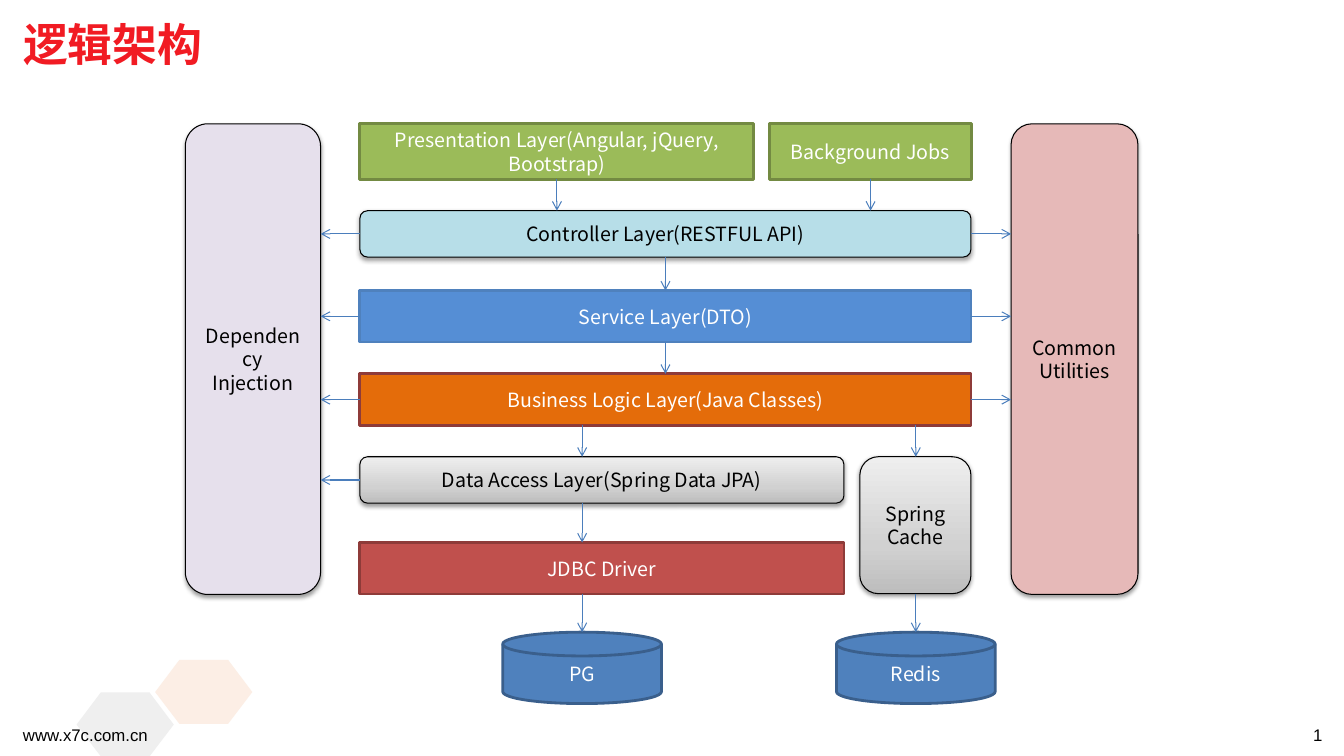
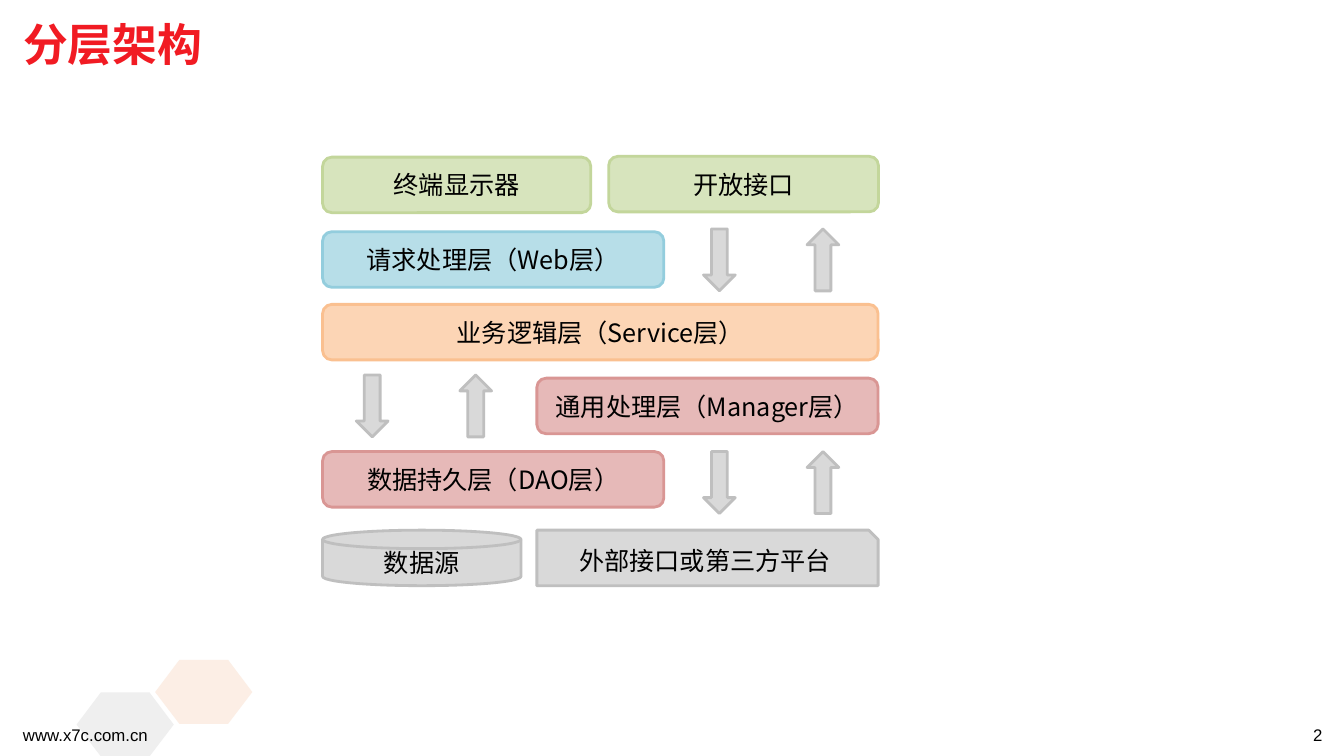
import copy

import lxml.etree
import pptx
import pptx.dml.color
import pptx.enum.shapes
import pptx.enum.text
import pptx.oxml.ns
import pptx.util

Cm = pptx.util.Cm
Pt = pptx.util.Pt
qn = pptx.oxml.ns.qn
SHAPE = pptx.enum.shapes.MSO_SHAPE
ALIGN = pptx.enum.text.PP_ALIGN
ANCHOR = pptx.enum.text.MSO_ANCHOR
AUTO = pptx.enum.text.MSO_AUTO_SIZE


def rgb(value):
    return pptx.dml.color.RGBColor.from_string(value)


def set_all(obj, values):
    for name, value in values.items():
        setattr(obj, name, value)


class Deck:
    """Hold the shared style and the current slide."""

    sans = "Noto Sans CJK SC"
    title_red = "F11B23"
    link_blue = "4B7EBC"
    grey_stops = [(0, "BDBDBD"), (0.35, "D1D1D1"), (1, "EEEEEE")]
    hexagons = [(1.93, 17.45, "EFEFEF"), (3.91, 16.63, "FCEEE5")]
    site = "www.x7c.com.cn"

    def __init__(self):
        self.prs = pptx.Presentation()
        set_all(self.prs, {"slide_width": Cm(33.87), "slide_height": Cm(19.05)})

    def new_slide(self, title):
        self.s = self.prs.slides.add_slide(self.prs.slide_layouts[5])
        self.title(title)
        for left, top, color in self.hexagons:
            self.hexagon(left, top, color)
        self.footer(0.33, 8.18, self.site, ALIGN.LEFT)
        r = self.footer(31.6, 1.98, str(len(self.prs.slides)), ALIGN.RIGHT)
        r._r.tag = qn("a:fld")
        r._r.set("id", "{B6F15528-21DE-4FAA-801E-634DDDAF4B2B}")
        r._r.set("type", "slidenum")

    def label(self, tf, text, size, color, align, font=sans, bold=False):
        tf.text = text
        for p in tf.paragraphs:
            p.alignment = align
            for r in p.runs:
                set_all(r.font, {"size": Pt(size), "bold": bold, "name": font})
                r.font.color.rgb = rgb(color)
                ea = lxml.etree.SubElement(r._r.get_or_add_rPr(), qn("a:ea"))
                ea.set("typeface", font)
        return r

    def title(self, text):
        sp = self.s.shapes.title
        set_all(sp, {"left": Cm(0.33), "top": Cm(0.3), "width": Cm(5.08), "height": Cm(1.63)})
        set_all(sp.text_frame, {"word_wrap": False, "auto_size": AUTO.NONE,
                                "vertical_anchor": ANCHOR.TOP})
        self.label(sp.text_frame, text, 32, self.title_red, ALIGN.LEFT, bold=True)

    def footer(self, left, width, text, align):
        sp = self.s.shapes.add_textbox(Cm(left), Cm(18.14), Cm(width), Cm(0.76))
        sp.text_frame.word_wrap = True
        return self.label(sp.text_frame, text, 12, "000000", align, font="Arial")

    def hexagon(self, left, top, color):
        corners = [(0, 0.81), (0.61, 0), (1.84, 0), (2.45, 0.81), (1.84, 1.61), (0.61, 1.61)]
        points = [(Cm(left + x), Cm(top + y)) for x, y in corners]
        fb = self.s.shapes.build_freeform(*points[0])
        fb.add_line_segments(points[1:], close=True)
        sp = fb.convert_to_shape()
        sp.shadow.inherit = False
        sp.fill.solid()
        sp.fill.fore_color.rgb = rgb(color)
        sp.line.fill.background()

    def box(self, kind, at, text, fill, line, size=14, color="FFFFFF", weight=2):
        sp = self.s.shapes.add_shape(kind, *[Cm(v) for v in at])
        sp.shadow.inherit = False
        if fill == "grey":
            self.shade(sp)
        else:
            sp.fill.solid()
            sp.fill.fore_color.rgb = rgb(fill)
        sp.line.color.rgb = rgb(line)
        sp.line.width = Pt(weight)
        if text:
            sp.text_frame.word_wrap = True
            self.label(sp.text_frame, text, size, color, ALIGN.CENTER)
        return sp

    def shade(self, sp):
        sp.fill.gradient()
        sp.fill.gradient_angle = 90
        stops = sp._element.spPr.find(".//" + qn("a:gsLst"))
        stops.insert(1, copy.deepcopy(stops[0]))
        for stop, (position, color) in zip(sp.fill.gradient_stops, self.grey_stops):
            stop.position = position
            stop.color.rgb = rgb(color)

    def raised(self, at, text, fill):
        sp = self.box(SHAPE.ROUNDED_RECTANGLE, at, text, fill, "000000",
                      color="000000", weight=0.75)
        effects = sp._element.spPr.find(qn("a:effectLst"))
        shadow = lxml.etree.SubElement(effects, qn("a:outerShdw"), blurRad="40000",
                                       dist="20000", dir="5400000", rotWithShape="0")
        black = lxml.etree.SubElement(shadow, qn("a:srgbClr"), val="000000")
        lxml.etree.SubElement(black, qn("a:alpha"), val="38000")
        return sp

    def arrow(self, x1, y1, x2, y2):
        cn = self.s.shapes.add_connector(pptx.enum.shapes.MSO_CONNECTOR.STRAIGHT, x1, y1, x2, y2)
        cn.line.color.rgb = rgb(self.link_blue)
        cn.line.width = Pt(0.75)
        lxml.etree.SubElement(cn.line._get_or_add_ln(), qn("a:tailEnd"), type="arrow")
        lxml.etree.SubElement(cn._element.spPr, qn("a:effectLst"))

    def drop(self, upper, lower, centre):
        x = centre.left + centre.width // 2
        self.arrow(x, upper.top + upper.height, x, lower.top)

    def reach(self, layer, panel):
        y = layer.top + layer.height // 2
        if panel.left < layer.left:
            self.arrow(layer.left, y, panel.left + panel.width, y)
        else:
            self.arrow(layer.left + layer.width, y, panel.left, y)


def logical_architecture(deck):
    deck.new_slide("逻辑架构")
    left, full, part = 9.07, 15.4, 12.2
    rect, disk = SHAPE.RECTANGLE, SHAPE.FLOWCHART_MAGNETIC_DISK
    pg, redis = [deck.box(disk, (x, 15.93, 4, 1.8), name, "4F81BD", "3A5F8C")
                 for x, name in [(12.67, "PG"), (21.08, "Redis")]]
    jdbc = deck.box(rect, (left, 13.67, part, 1.3), "JDBC Driver", "C0504D", "8E3B39")
    logic = deck.box(rect, (left, 9.42, full, 1.3), "Business Logic Layer(Java Classes)",
                     "E46C0A", "8E3B39")
    data = deck.raised((left, 11.51, part, 1.17), "Data Access Layer(Spring Data JPA)", "grey")
    service = deck.box(rect, (left, 7.32, full, 1.3), "Service Layer(DTO)", "558ED5", "4F81BD")
    control = deck.raised((left, 5.31, full, 1.17), "Controller Layer(RESTFUL API)", "B7DEE8")
    view, jobs = [deck.box(rect, (x, 3.12, w, 1.4), text, "9BBB59", "738A42")
                  for x, w, text in [
                      (left, 9.93, "Presentation Layer(Angular, jQuery, Bootstrap)"),
                      (19.4, 5.08, "Background Jobs")]]
    inject = deck.raised((4.67, 3.12, 3.41, 11.86), "Dependency\nInjection", "E6E0EC")
    common = deck.raised((25.48, 3.12, 3.2, 11.86), "Common Utilities", "E6B9B8")
    cache = deck.raised((21.67, 11.51, 2.8, 3.45), "Spring Cache", "grey")
    for upper, lower, centre in [
            (view, control, view), (jobs, control, jobs), (control, service, control),
            (service, logic, service), (logic, data, pg), (data, jdbc, pg),
            (jdbc, pg, pg), (logic, cache, redis), (cache, redis, redis)]:
        deck.drop(upper, lower, centre)
    for layer in (control, service, logic):
        deck.reach(layer, inject)
        deck.reach(layer, common)
    deck.reach(data, inject)


def layered_architecture(deck):
    deck.new_slide("分层架构")
    left, inner, half, high = 8.13, 13.53, 8.6, 1.4
    rounded = SHAPE.ROUNDED_RECTANGLE
    green, rose, grey = ("D7E4BD", "C3D69B"), ("E6B9B8", "D99694"), ("D9D9D9", "BFBFBF")
    for kind, x, y, width, text, colors in [
            (rounded, 15.34, 3.94, 6.8, "开放接口", green),
            (rounded, left, 3.96, 6.76, "终端显示器", green),
            (rounded, left, 5.84, half, "请求处理层（Web层）", ("B7DEE8", "93CDDD")),
            (rounded, left, 7.67, 14, "业务逻辑层（Service层）", ("FCD5B5", "FAC090")),
            (rounded, inner, 9.53, half, "通用处理层（Manager层）", rose),
            (rounded, left, 11.38, half, "数据持久层（DAO层）", rose),
            (SHAPE.SNIP_1_RECTANGLE, inner, 13.36, half, "外部接口或第三方平台", grey),
            (SHAPE.FLOWCHART_MAGNETIC_DISK, left, 13.36, 5, "数据源", grey)]:
        deck.box(kind, (x, y, width, high), text, *colors, size=18, color="000000")
    for x, y in [(17.73, 11.38), (8.98, 9.45), (17.73, 5.77)]:
        for kind, shift in [(SHAPE.DOWN_ARROW, 0), (SHAPE.UP_ARROW, 2.61)]:
            deck.box(kind, (x + shift, y, 0.8, 1.56), "", *grey)


deck = Deck()
logical_architecture(deck)
layered_architecture(deck)
deck.prs.save("out.pptx")
